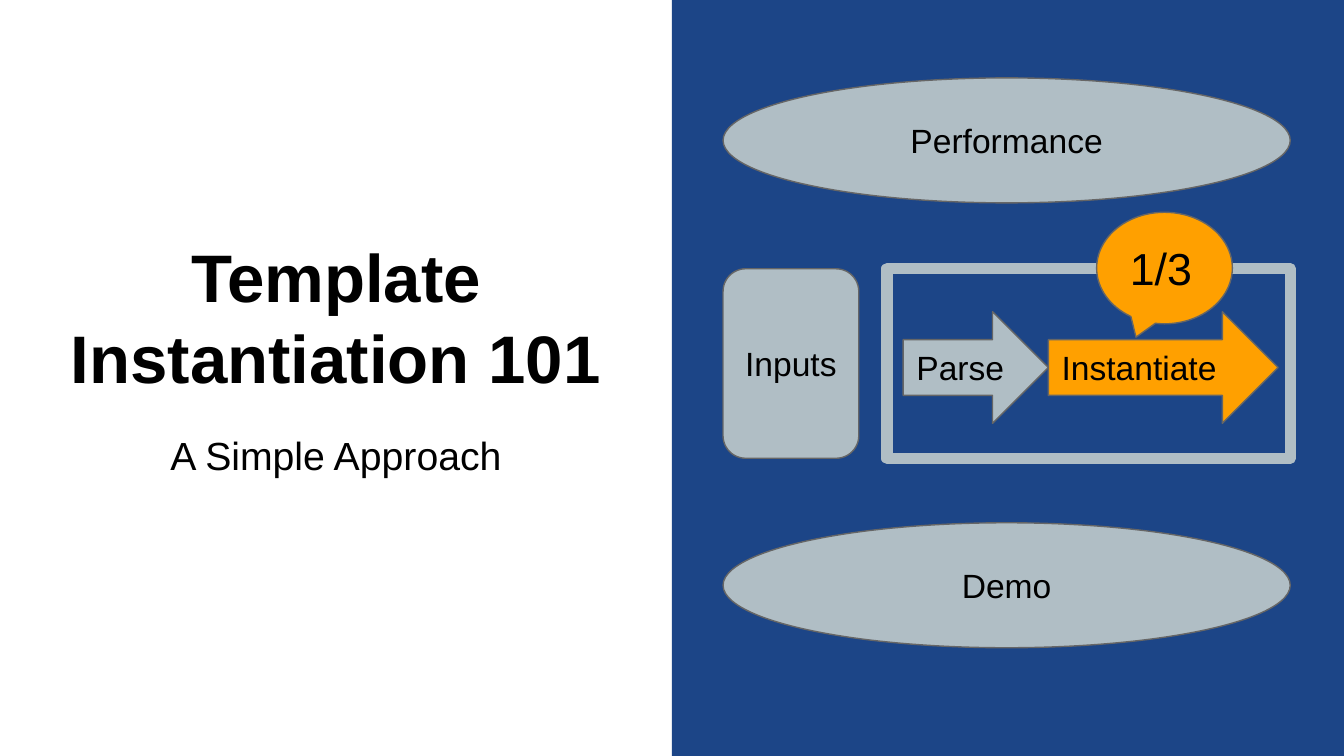
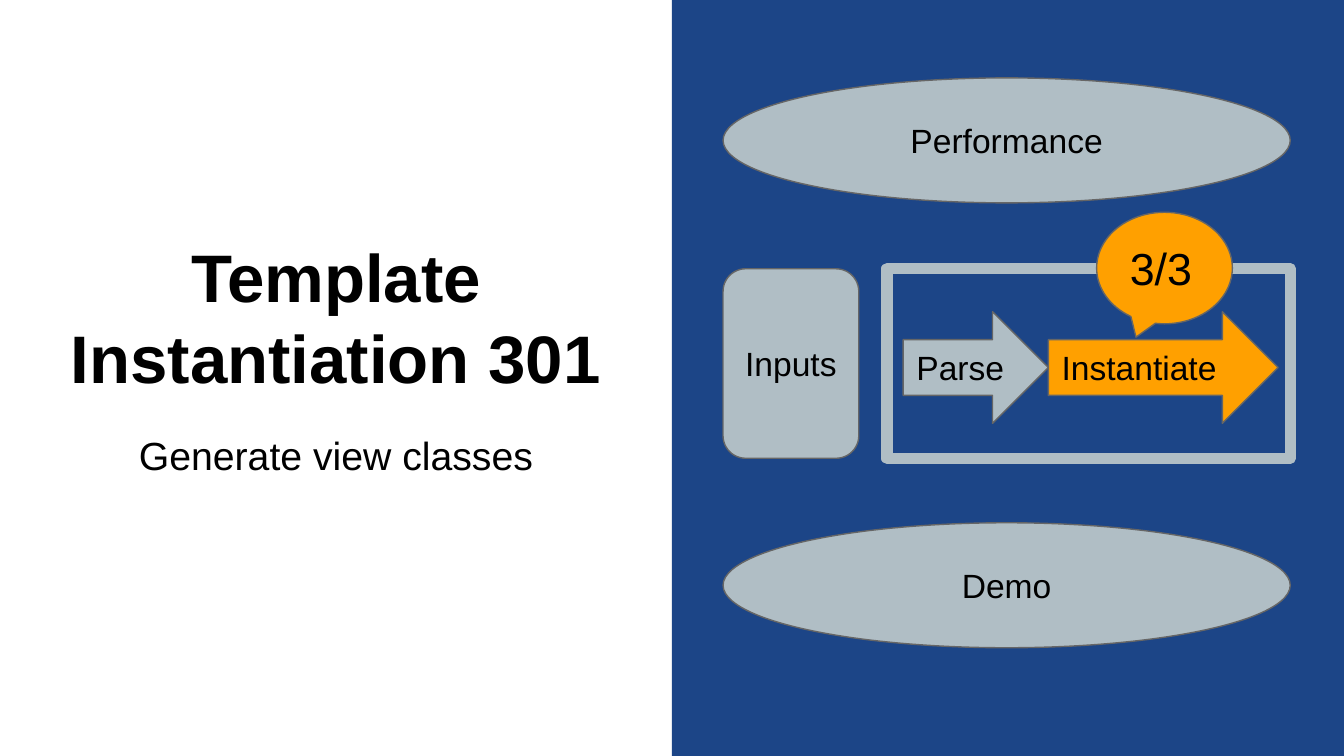
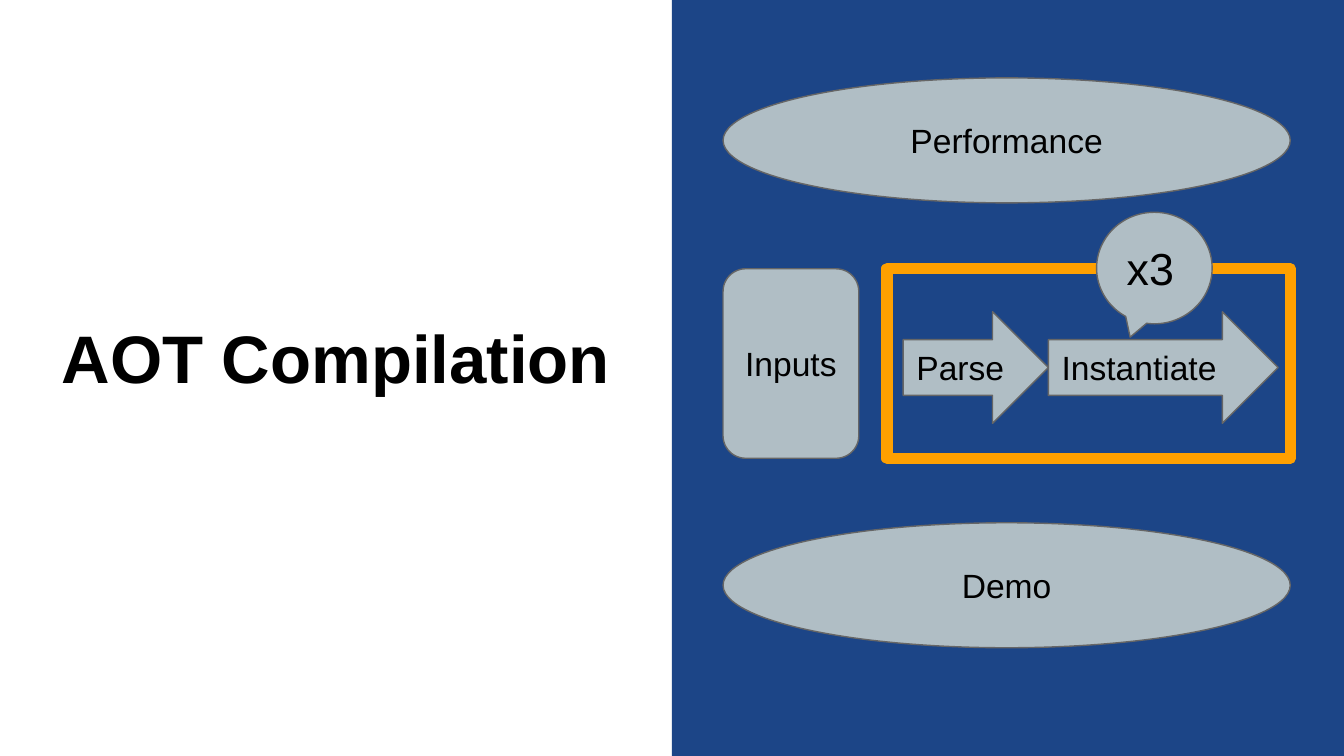
from pptx import Presentation
from pptx.dml.color import RGBColor
from pptx.enum import shapes, text
from pptx.util import Inches, Pt

FONT = "Arial"
BLACK, NAVY, GREY, ORANGE, OUTLINE = "000000", "1C4587", "B0BEC5", "FFA000", "666666"
WIDTH = 10
HEIGHT = WIDTH * 9 / 16
HALF = WIDTH / 2
SHAPE = shapes.MSO_SHAPE
ALIGN = text.PP_ALIGN
ANCHOR = text.MSO_ANCHOR


def rgb(value):
    """Turn a hex string into a colour."""
    return RGBColor.from_string(value)


def write(sp, words, size, align=ALIGN.CENTER, anchor=ANCHOR.MIDDLE, bold=False, before=0):
    """Put styled text into a shape or text box."""
    tf = sp.text_frame
    tf.word_wrap = True
    tf.vertical_anchor = anchor
    tf.margin_left = tf.margin_right = tf.margin_top = tf.margin_bottom = Inches(0.1)
    tf.text = words
    for p in tf.paragraphs:
        p.alignment = align
        p.space_before = Pt(before)
        for r in p.runs:
            r.font.name, r.font.size, r.font.bold = FONT, Pt(size), bold
            r.font.color.rgb = rgb(BLACK)


def add_shape(s, kind, box, fill=None, line=None, weight=0.75):
    """Add a flat preset shape with an optional fill and outline."""
    sp = s.shapes.add_shape(kind, *map(Inches, box))
    sp.shadow.inherit = False
    if fill:
        sp.fill.solid()
        sp.fill.fore_color.rgb = rgb(fill)
    else:
        sp.fill.background()
    if line:
        sp.line.color.rgb = rgb(line)
        sp.line.width = Pt(weight)
    else:
        sp.line.fill.background()
    return sp


def add_node(s, kind, box, words, fill=GREY, size=18, align=ALIGN.CENTER):
    """Add an outlined, labelled part of the diagram."""
    sp = add_shape(s, kind, box, fill, OUTLINE)
    write(sp, words, size, align)
    return sp


def add_heading(s, box, title, subtitle):
    """Place the title and the subtitle in the left half."""
    x, y, w, h = box
    margin, split = 0.29, y + 3.05
    width = w - 2 * margin
    tb = s.shapes.add_textbox(*map(Inches, (x + margin, split - 1.62, width, 1.62)))
    write(tb, title, 36, anchor=ANCHOR.BOTTOM, bold=True)
    if subtitle:
        tb = s.shapes.add_textbox(*map(Inches, (x + margin, split + 0.06, width, 1.47)))
        write(tb, subtitle, 21, anchor=ANCHOR.TOP, before=6)


def add_diagram(s, box, count, count_width, step_fill, frame_color):
    """Draw the compilation overview on the coloured right half."""
    x, y, w, h = box
    add_shape(s, SHAPE.RECTANGLE, box, NAVY)
    left, width = x + 0.38, 4.22
    row, row_height = y + 2, 1.41
    frame_width, step_height = 3, 0.83
    frame_left = left + width - frame_width
    add_shape(s, SHAPE.RECTANGLE, (frame_left, row, frame_width, row_height),
              line=frame_color, weight=6)

    step_left = frame_left + 0.12
    for label, step_width, fill in (("Parse", 1.08, GREY), ("Instantiate", 1.71, step_fill)):
        add_node(s, SHAPE.RIGHT_ARROW, (step_left, row + 0.32, step_width, step_height),
                 label, fill, align=ALIGN.LEFT)
        step_left += step_width

    callout = add_node(s, SHAPE.OVAL_CALLOUT,
                       (frame_left + 1.56, row - 0.42, count_width, step_height),
                       count, step_fill, 24, ALIGN.LEFT)
    callout.adjustments[0], callout.adjustments[1] = -0.21, 0.62

    for label, top in (("Performance", 0.58), ("Demo", 3.89)):
        add_node(s, SHAPE.OVAL, (left, y + top, width, 0.93), label)
    add_node(s, SHAPE.ROUNDED_RECTANGLE, (left, row, 1.01, row_height), "Inputs")


def add_section(prs, title, subtitle, count, count_width=1.01,
                step_fill=ORANGE, frame_color=GREY):
    """Add a section slide with a heading beside the overview."""
    s = prs.slides.add_slide(prs.slide_layouts[6])
    add_diagram(s, (HALF, 0, HALF, HEIGHT), count, count_width, step_fill, frame_color)
    add_heading(s, (0, 0, HALF, HEIGHT), title, subtitle)


def main():
    """Build the deck and save it."""
    prs = Presentation()
    prs.slide_width, prs.slide_height = Inches(WIDTH), Inches(HEIGHT)
    add_section(prs, "Template\nInstantiation 101", "A Simple Approach", "1/3")
    add_section(prs, "Template Instantiation 301", "Generate view classes", "3/3")
    add_section(prs, "AOT Compilation", None, "x3", 0.86, GREY, ORANGE)
    prs.save("out.pptx")


if __name__ == "__main__":
    main()
